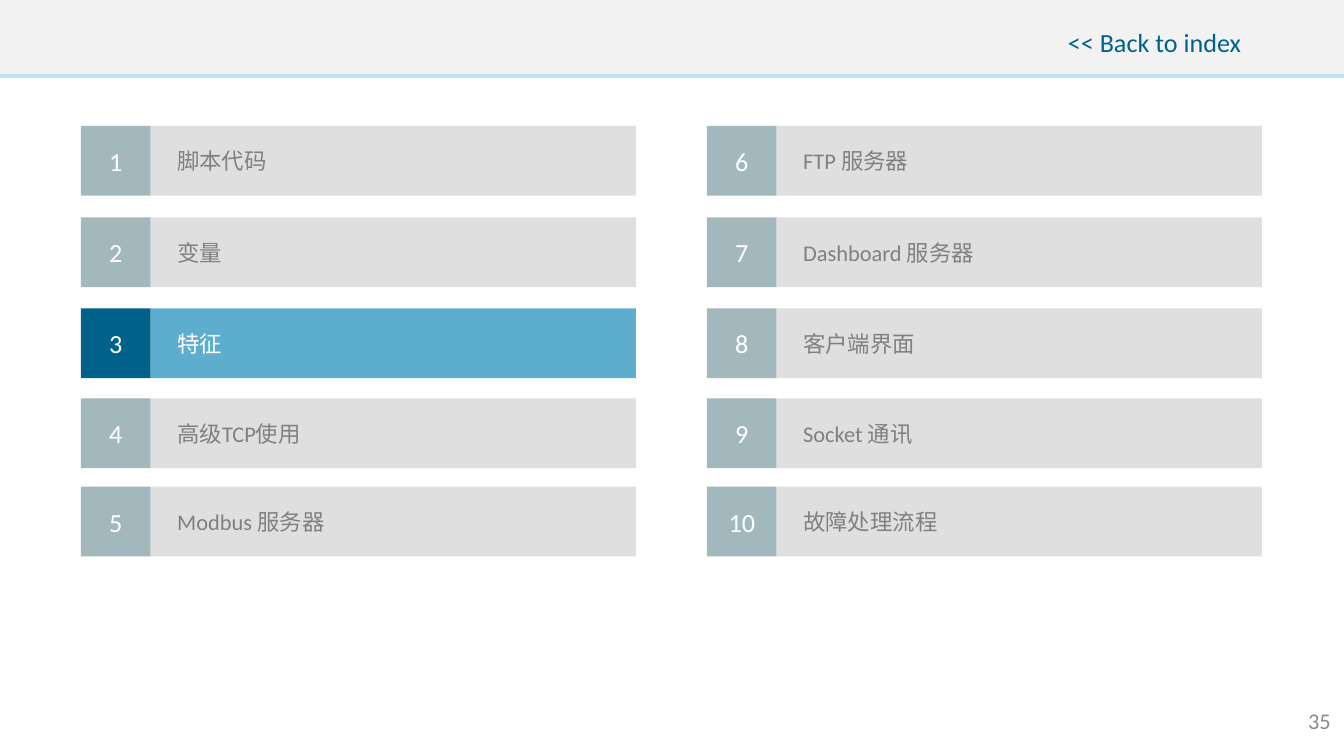
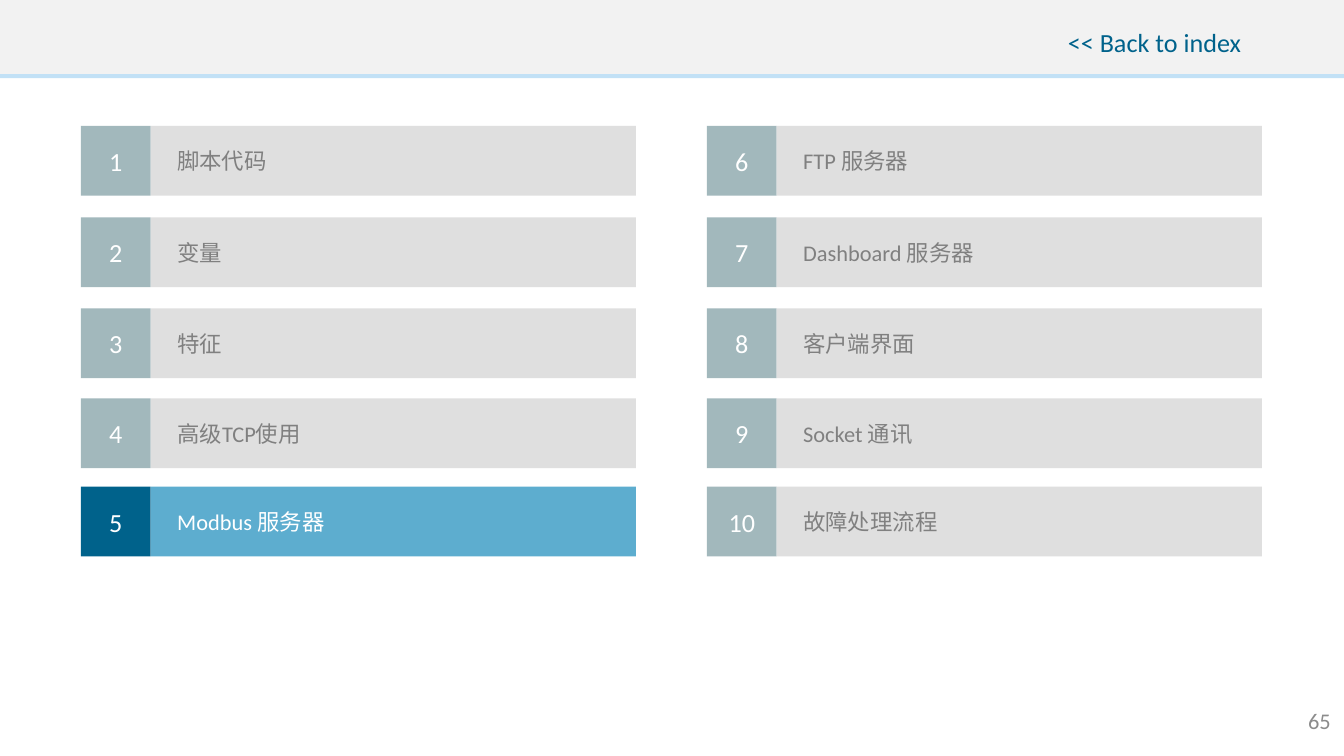
from dataclasses import dataclass

from pptx import Presentation
from pptx import util as u
from pptx.dml.color import RGBColor
from pptx.enum import shapes, text

FONT = "Calibri"
WHITE = "FFFFFF"
DARK_BLUE = "00628B"
BAND_LINE = "C2E1F6"
BAND = "F2F2F2"
PAGE_NUMBER = "8C8C8C"

PAGE_WIDTH = 25.4
PAGE_HEIGHT = 14.29
CHAPTER_LEFT = 1.53
COLUMN_PITCH = 11.83
ROW_TOPS = (2.38, 4.11, 5.83, 7.53, 9.2)
NUMBER_SIZE = 1.32
LABEL_WIDTH = 9.17
LABEL_INDENT = 0.5

CHAPTERS = (
    "脚本代码",
    "变量",
    "特征",
    "高级TCP使用",
    "Modbus 服务器",
    "FTP 服务器",
    "Dashboard 服务器",
    "客户端界面",
    "Socket 通讯",
    "故障处理流程",
)


@dataclass(frozen=True)
class Area:
    left: float
    top: float
    width: float
    height: float

    def lengths(self) -> tuple:
        return tuple(u.Cm(n) for n in (self.left, self.top, self.width, self.height))


@dataclass(frozen=True)
class TextStyle:
    size: int
    color: str
    align: text.PP_ALIGN
    anchor: text.MSO_ANCHOR = text.MSO_ANCHOR.MIDDLE
    indent: float = 0


@dataclass(frozen=True)
class ChapterStyle:
    number_fill: str
    label_fill: str
    label_color: str


@dataclass(frozen=True)
class IndexPage:
    number: int
    current_chapter: int


NORMAL = ChapterStyle("A2B8BC", "DFDFDF", "808080")
CURRENT = ChapterStyle(DARK_BLUE, "5DADCF", WHITE)
PAGES = (IndexPage(35, 3), IndexPage(65, 5))


def color(value: str) -> RGBColor:
    return RGBColor.from_string(value)


def write(box, content: str, style: TextStyle) -> None:
    frame = box.text_frame
    frame.text = content
    frame.word_wrap = True
    frame.vertical_anchor = style.anchor
    para = frame.paragraphs[0]
    para.alignment = style.align
    if style.indent:
        properties = para._p.get_or_add_pPr()
        properties.set("marL", str(u.Cm(style.indent)))
        properties.set("indent", "0")
    for span in para.runs:
        span.font.name = FONT
        span.font.size = u.Pt(style.size)
        span.font.color.rgb = color(style.color)


def remove_margins(box) -> None:
    frame = box.text_frame
    frame.margin_left = frame.margin_right = 0
    frame.margin_top = frame.margin_bottom = 0


def add_block(page, area: Area, fill: str):
    block = page.shapes.add_shape(shapes.MSO_SHAPE.RECTANGLE, *area.lengths())
    block.shadow.inherit = False
    block.fill.solid()
    block.fill.fore_color.rgb = color(fill)
    block.line.fill.background()
    remove_margins(block)
    return block


def add_header(page) -> None:
    add_block(page, Area(0, 0, PAGE_WIDTH, 1.48), BAND_LINE)
    add_block(page, Area(0, 0, PAGE_WIDTH, 1.4), BAND)
    back = page.shapes.add_textbox(*Area(19.46, 0, 4, 1.09).lengths())
    remove_margins(back)
    write(back, "<< Back to index", TextStyle(
        14, DARK_BLUE, text.PP_ALIGN.RIGHT, text.MSO_ANCHOR.BOTTOM))


def add_page_number(page, number: int) -> None:
    box = page.shapes.add_textbox(*Area(22.86, 13.24, 2.54, 0.76).lengths())
    write(box, str(number), TextStyle(12, PAGE_NUMBER, text.PP_ALIGN.RIGHT))


def add_chapter(page, number: int, title: str, style: ChapterStyle) -> None:
    column, row = divmod(number - 1, len(ROW_TOPS))
    left = CHAPTER_LEFT + column * COLUMN_PITCH
    top = ROW_TOPS[row]
    tile = add_block(page, Area(left, top, NUMBER_SIZE, NUMBER_SIZE), style.number_fill)
    write(tile, str(number), TextStyle(14, WHITE, text.PP_ALIGN.CENTER))
    label = add_block(
        page, Area(left + NUMBER_SIZE, top, LABEL_WIDTH, NUMBER_SIZE), style.label_fill)
    write(label, title, TextStyle(
        12, style.label_color, text.PP_ALIGN.LEFT, indent=LABEL_INDENT))


def add_index_page(deck, index: IndexPage) -> None:
    page = deck.slides.add_slide(deck.slide_layouts[6])
    add_header(page)
    for number, title in enumerate(CHAPTERS, start=1):
        style = CURRENT if number == index.current_chapter else NORMAL
        add_chapter(page, number, title, style)
    add_page_number(page, index.number)


def main() -> None:
    deck = Presentation()
    deck.slide_width = u.Cm(PAGE_WIDTH)
    deck.slide_height = u.Cm(PAGE_HEIGHT)
    for index in PAGES:
        add_index_page(deck, index)
    deck.save("out.pptx")


if __name__ == "__main__":
    main()
